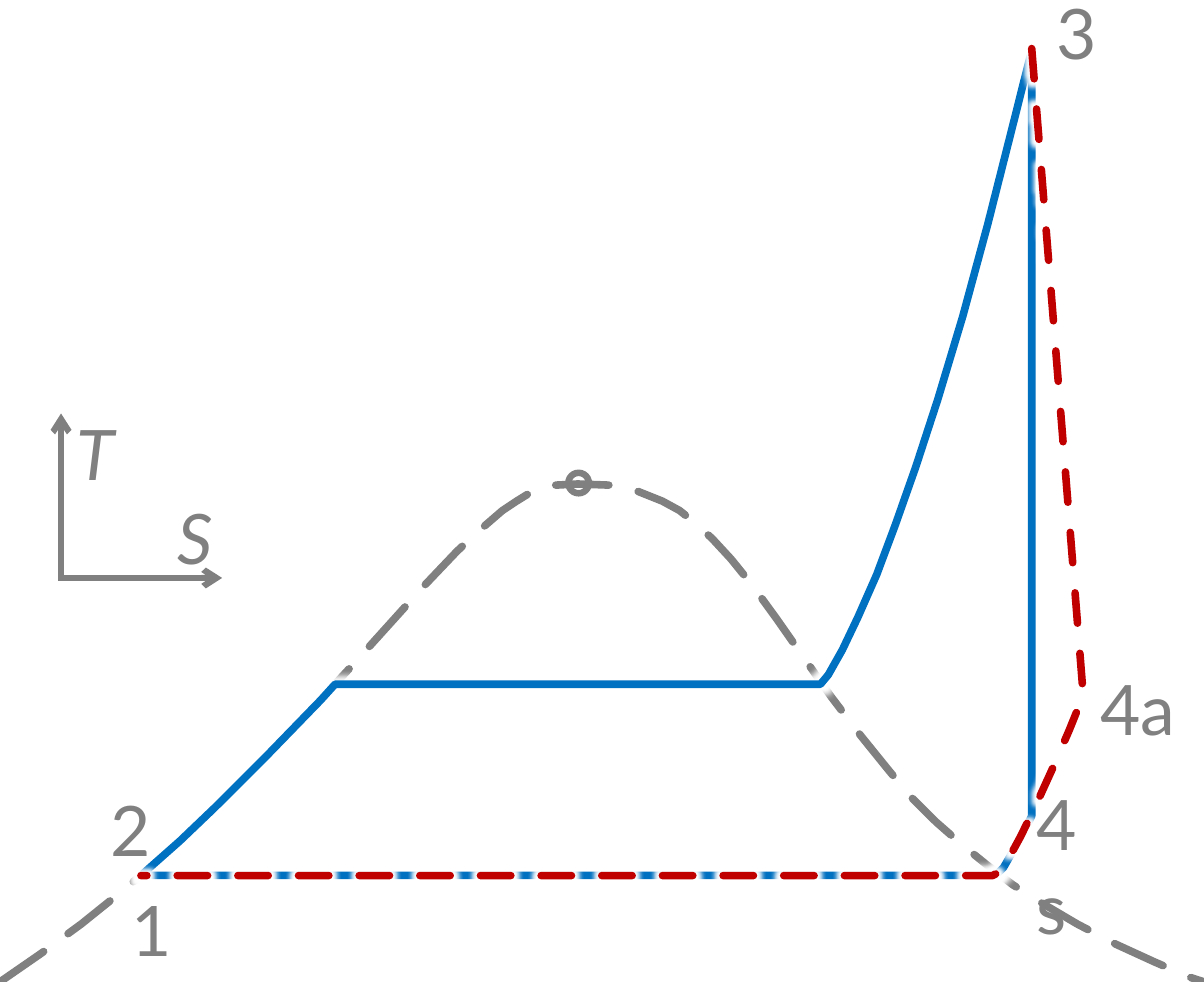
import pptx
import pptx.util
import pptx.dml.color
import pptx.enum.shapes
import pptx.enum.text
import pptx.oxml.ns
from lxml import etree

Pt = pptx.util.Pt
qn = pptx.oxml.ns.qn

COLORS = {"gray": "808080", "cycle": "0070C0", "actual": "C00000", "halo": "FFFFFF"}
SLIDE_SIZE = (553.68, 451.44)

SATURATION_DOME = [
    (0, 451.4), (18.7, 438.5), (37.4, 424.8), (56.2, 409.7), (74.9, 393.8),
    (93.6, 376.6), (113.8, 357.1), (135.4, 334.8), (161.3, 306.7), (195.1, 269.3),
    (210.2, 253.4), (221, 243.4), (231.1, 234.7), (237.6, 230.4), (243.4, 226.8),
    (249.1, 224.6), (252.7, 223.2), (265.7, 222.5), (284.4, 223.2), (293.8, 226.1),
    (304.6, 230.4), (312.5, 234.7), (319.7, 240.5), (327.6, 247.7), (336.2, 257),
    (345.6, 268.6), (357.1, 284.4), (382.3, 320.4), (396, 338.4), (408.2, 353.5),
    (419, 366.5), (430.6, 378), (442.1, 388.1), (453.6, 397.4), (465.8, 406.8),
    (479.5, 415.4), (495.4, 424.8), (513.4, 434.2), (530.6, 442.1), (547.2, 449.3),
    (553.7, 451.4),
]
IDEAL_CYCLE = [
    (64.8, 402.5), (82.8, 386.6), (98.6, 371.5), (121.7, 348.5), (147.6, 321.8),
    (154.1, 314.6), (377.3, 314.6), (380.9, 310.3), (387.4, 298.8), (394.6, 283.7),
    (403.2, 264.2), (411.8, 241.2), (421.2, 214.6), (431.3, 183.6), (442.8, 145.4),
    (454.3, 103), (465.8, 57.6), (474.5, 23), (474.5, 375.1), (470.2, 383.8),
    (461.5, 398.9), (457.9, 402.5),
]
ACTUAL_EXPANSION = [
    (474.5, 22.3), (498.2, 319.7), (491.8, 335.5), (484.6, 352.1), (477.4, 367.9),
    (469.4, 384.5), (460.8, 400.3), (456.5, 402.5), (64.8, 402.5),
]
AXES = [(102.2, 265.7), (28.1, 265.7), (28.1, 190.1)]
CRITICAL_POINT = (261.4, 217.4, 9.4, 9.4)

# text, left, top, width
STATE_LABELS = [
    ("1", 53.3, 403.9, 28.8),
    ("2", 43.9, 357.8, 30.2),
    ("3", 478.8, -8.6, 31.7),
    ("4s", 469.4, 374.4, 44.6),
    ("4a", 499, 302.4, 49.7),
]
LABEL_HEIGHT = 46.1


def add_element(parent, tag, **attributes):
    return etree.SubElement(parent, qn(tag), attributes)


def style_outline(shape, color, width, dash=None, dash_lengths=None, round_ends=False,
                  arrows=False, halo=None):
    """Draw only the outline; dash_lengths is (dash, gap) in line widths."""
    shape.shadow.inherit = False
    shape.fill.background()
    shape.line.color.rgb = pptx.dml.color.RGBColor.from_string(COLORS[color])
    shape.line.width = Pt(width)
    properties = shape.element.spPr
    line = properties.find(qn("a:ln"))
    if round_ends:
        line.set("cap", "rnd")
    if dash:
        add_element(line, "a:prstDash", val=dash)
    if dash_lengths:
        length, gap = (str(value * 100000) for value in dash_lengths)
        add_element(add_element(line, "a:custDash"), "a:ds", d=length, sp=gap)
    add_element(line, "a:round") if round_ends else add_element(line, "a:miter", lim="800000")
    if arrows:
        add_element(line, "a:headEnd", type="arrow")
        add_element(line, "a:tailEnd", type="arrow")
    if halo:
        glow = add_element(properties.find(qn("a:effectLst")), "a:glow", rad=str(Pt(halo)))
        add_element(glow, "a:srgbClr", val=COLORS["halo"])


def add_curve(slide, points, close=False, **outline):
    corners = [(Pt(x), Pt(y)) for x, y in points]
    builder = slide.shapes.build_freeform(*corners[0])
    builder.add_line_segments(corners[1:], close=close)
    shape = builder.convert_to_shape()
    style_outline(shape, **outline)
    return shape


def write_text(paragraph, text, italic=False, align=pptx.enum.text.PP_ALIGN.LEFT):
    paragraph.alignment = align
    run = paragraph.add_run()
    run.text = text
    run.font.name = "Lato"
    run.font.size = Pt(32)
    run.font.italic = italic
    run.font.color.rgb = pptx.dml.color.RGBColor.from_string(COLORS["gray"])


def add_label(slide, text, left, top, width):
    box = slide.shapes.add_textbox(Pt(left), Pt(top), Pt(width), Pt(LABEL_HEIGHT))
    frame = box.text_frame
    frame.word_wrap = True
    frame.vertical_anchor = pptx.enum.text.MSO_ANCHOR.MIDDLE
    write_text(frame.paragraphs[0], text)


def add_axes(slide):
    axes = add_curve(slide, AXES, color="gray", width=2.75, arrows=True)
    frame = axes.text_frame
    frame.word_wrap = True
    frame.vertical_anchor = pptx.enum.text.MSO_ANCHOR.BOTTOM
    frame.margin_left, frame.margin_right = Pt(7.2), Pt(4.3)
    frame.margin_top = frame.margin_bottom = Pt(0)
    write_text(frame.paragraphs[0], "T", italic=True)
    write_text(frame.add_paragraph(), "S", italic=True, align=pptx.enum.text.PP_ALIGN.RIGHT)


def main():
    presentation = pptx.Presentation()
    presentation.slide_width, presentation.slide_height = map(Pt, SLIDE_SIZE)
    slide = presentation.slides.add_slide(presentation.slide_layouts[6])

    add_curve(slide, SATURATION_DOME, color="gray", width=3.5, dash="lgDash", round_ends=True)
    add_curve(slide, IDEAL_CYCLE, close=True, color="cycle", width=3.5, round_ends=True, halo=5)
    critical_point = slide.shapes.add_shape(
        pptx.enum.shapes.MSO_SHAPE.OVAL, *map(Pt, CRITICAL_POINT))
    style_outline(critical_point, color="gray", width=3)
    for label in STATE_LABELS:
        add_label(slide, *label)
    add_axes(slide)
    add_curve(slide, ACTUAL_EXPANSION, color="actual", width=3.5, dash_lengths=(5, 3),
              round_ends=True, halo=5)

    presentation.save("out.pptx")


if __name__ == "__main__":
    main()
